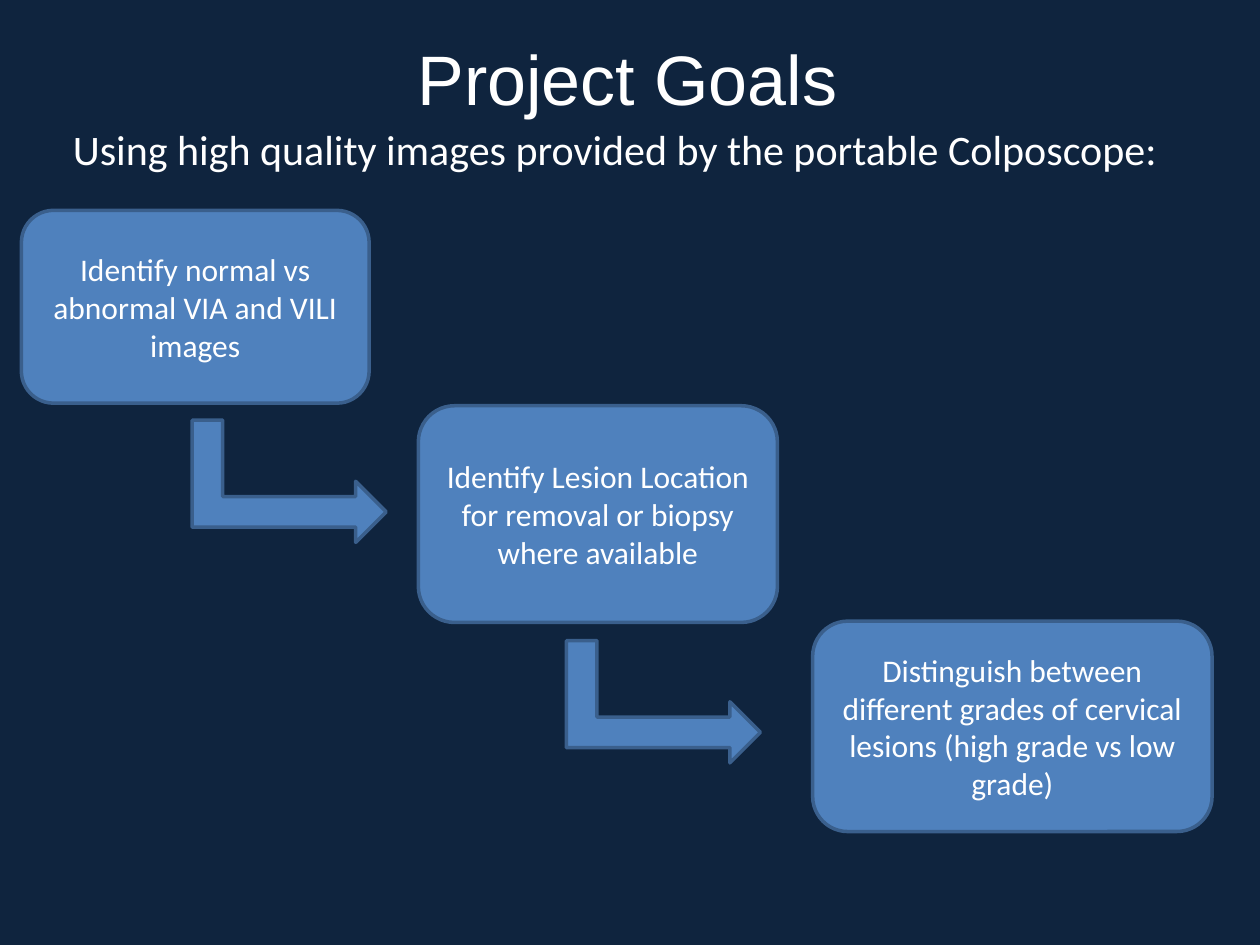
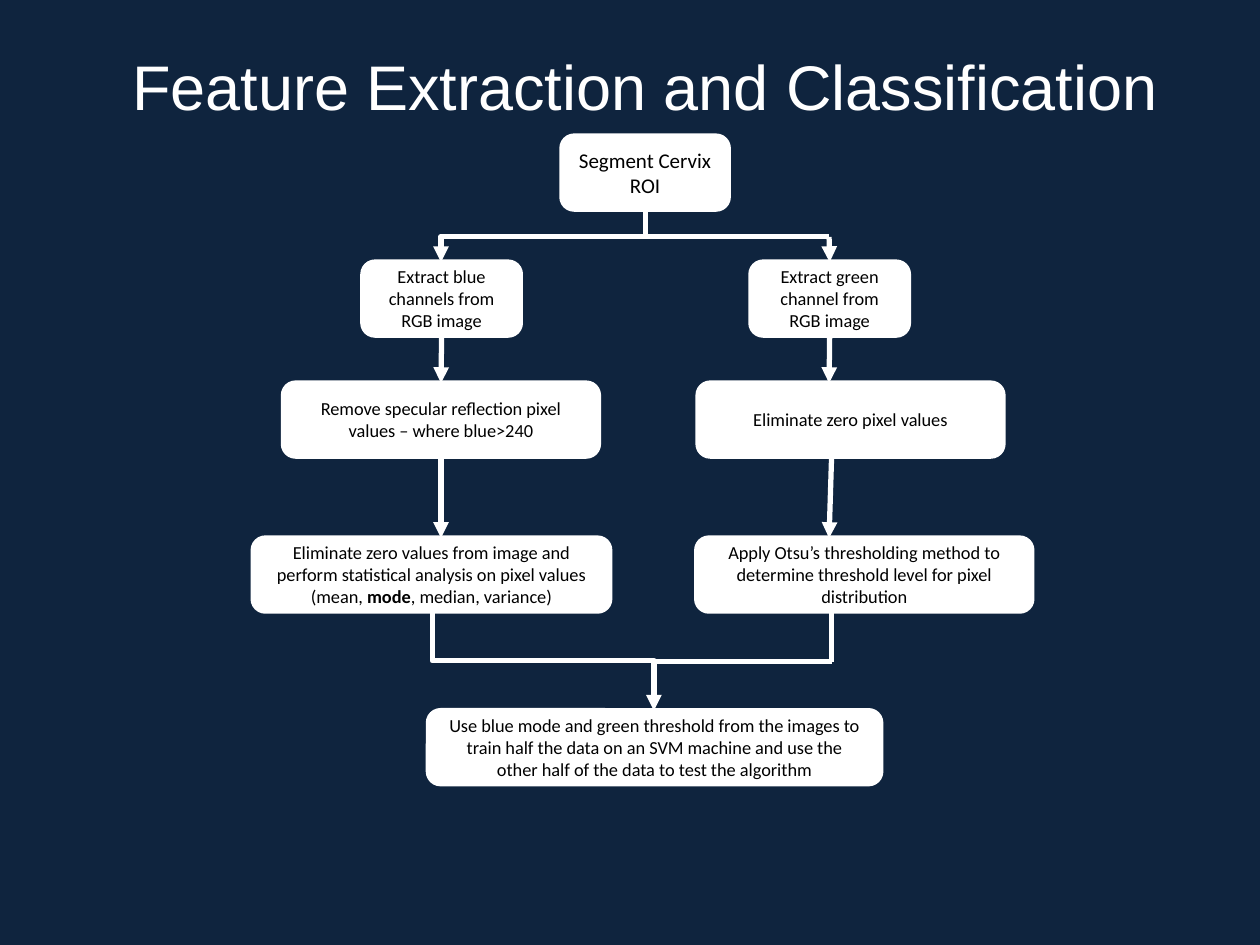
from dataclasses import dataclass

from pptx import Presentation
from pptx.dml.color import RGBColor
from pptx.enum.shapes import MSO_CONNECTOR as Link, MSO_SHAPE as Shape
from pptx.enum.text import MSO_ANCHOR as Anchor, PP_ALIGN as Align
from pptx.oxml.ns import qn
from pptx.util import Inches, Pt
from lxml.etree import SubElement


@dataclass(frozen=True)
class Theme:
    navy: str = "0F243E"
    blue: str = "4F81BD"
    blue_edge: str = "3A5F8C"
    white: str = "FFFFFF"
    black: str = "000000"
    title_font: str = "Arial"
    body_font: str = "Calibri"
    lead_size: float = 24
    goal_size: float = 18
    root_size: float = 12
    step_size: float = 10.5
    goal_line: float = 2
    flow_line: float = 3


THEME = Theme()


def color(code):
    return RGBColor.from_string(code)


# Text
def write(shape, text, size, ink=THEME.white, font=THEME.body_font,
          align=Align.CENTER, anchor=Anchor.MIDDLE):
    """Fill a shape with one paragraph; words between asterisks are bold."""
    frame = shape.text_frame
    frame.word_wrap = True
    frame.vertical_anchor = anchor
    para = frame.paragraphs[0]
    para.alignment = align
    for index, part in enumerate(text.split("*")):
        span = para.add_run()
        span.text = part
        span.font.size = Pt(size)
        span.font.name = font
        span.font.bold = index % 2 == 1
        span.font.color.rgb = color(ink)


def add_text(page, place, text, size, **style):
    box = page.shapes.add_textbox(*map(Inches, place))
    write(box, text, size, **style)


def add_page(deck, title, place, size):
    page = deck.slides.add_slide(deck.slide_layouts[6])
    page.background.fill.solid()
    page.background.fill.fore_color.rgb = color(THEME.navy)
    add_text(page, place, title, size, font=THEME.title_font)
    return page


# Shapes
def add_block(page, kind, place, fill, edge, weight):
    block = page.shapes.add_shape(kind, *map(Inches, place))
    block.shadow.inherit = False
    block.fill.solid()
    block.fill.fore_color.rgb = color(fill)
    block.line.color.rgb = color(edge)
    block.line.width = Pt(weight)
    return block


def add_goal_block(page, kind, place):
    return add_block(page, kind, place, THEME.blue, THEME.blue_edge, THEME.goal_line)


def add_step(page, left, top, width, text, size=THEME.step_size):
    box = add_block(page, Shape.ROUNDED_RECTANGLE, (left, top, width, 0.58),
                    THEME.white, THEME.white, THEME.flow_line)
    write(box, text, size, ink=THEME.black)
    return box


# Connectors
def style_link(link, arrow):
    link.line.color.rgb = color(THEME.white)
    link.line.width = Pt(THEME.flow_line)
    if arrow:
        SubElement(link.line._get_or_add_ln(), qn("a:tailEnd"), type="triangle")
    SubElement(link._element.spPr, qn("a:effectLst"))


def add_line(page, start, end, arrow=True, above=None, below=None):
    """Straight line, joined to the bottom of `above` and the top of `below`."""
    link = page.shapes.add_connector(Link.STRAIGHT, *map(Inches, start + end))
    if above:
        link.begin_connect(above, 2)
    if below:
        link.end_connect(below, 0)
    style_link(link, arrow)


def add_elbow(page, start, end):
    """Elbow that leaves and arrives vertically: a level elbow, turned."""
    (x1, y1), (x2, y2) = start, end
    middle_x, middle_y = (x1 + x2) / 2, (y1 + y2) / 2
    half_run, half_drop = abs(x2 - x1) / 2, (y2 - y1) / 2
    rightward = x2 > x1
    side = -half_drop if rightward else half_drop
    ends = (middle_x - side, middle_y - half_run, middle_x + side, middle_y + half_run)
    link = page.shapes.add_connector(Link.ELBOW, *map(Inches, ends))
    degrees = 270 if rightward else 90
    link._element.spPr.find(qn("a:xfrm")).set("rot", str(degrees * 60000))
    style_link(link, arrow=True)


# Slides
def build_goals(deck):
    page = add_page(deck, "Project Goals", (0.48, 0.1, 9, 1.03), 40)
    goals = [
        ((0.17, 1.67, 2.76, 1.53), "Identify normal vs abnormal VIA and VILI images"),
        ((3.32, 3.22, 2.85, 1.72),
         "Identify Lesion Location for removal or biopsy where available"),
        ((6.45, 4.93, 3.17, 1.67),
         "Distinguish between different grades of cervical lesions "
         "(high grade vs low grade)"),
    ]
    for place, text in goals:
        box = add_goal_block(page, Shape.ROUNDED_RECTANGLE, place)
        write(box, text, THEME.goal_size)
    for left, top in [(1.81, 3.05), (4.78, 4.8)]:
        arrow = add_goal_block(page, Shape.BENT_UP_ARROW, (left, top, 0.97, 1.54))
        arrow.rotation = 90
    add_text(page, (0.48, 0.93, 9.32, 0.5),
             "Using high quality images provided by the portable Colposcope:",
             THEME.lead_size, align=Align.LEFT, anchor=Anchor.TOP)


def build_flow(deck):
    page = add_page(deck, "Feature Extraction and Classification",
                    (0.62, 0.05, 9, 1.25), 36)
    root_top, extract_top, clean_top, analyse_top, train_top = 1.08, 2.08, 3.04, 4.27, 5.64
    extract_end, clean_end, analyse_end = 2.67, 3.62, 4.85

    # Steps
    add_step(page, 4.46, root_top, 1.32, "Segment Cervix ROI", THEME.root_size)
    blue = add_step(page, 2.88, extract_top, 1.25, "Extract blue channels from RGB image")
    green = add_step(page, 5.96, extract_top, 1.25, "Extract green channel from RGB image")
    add_step(page, 5.54, clean_top, 2.42, "Eliminate zero pixel values")
    add_step(page, 5.53, analyse_top, 2.66,
             "Apply Otsu’s thresholding method to determine threshold level "
             "for pixel distribution")
    specular = add_step(page, 2.25, clean_top, 2.5,
                        "Remove specular reflection pixel values – where blue>240")
    add_step(page, 2.01, analyse_top, 2.83,
             "Eliminate zero values from image and perform statistical analysis "
             "on pixel values (mean, *mode*, median, variance)")
    add_step(page, 3.4, train_top, 3.59,
             "Use blue mode and green threshold from the images to train half the data "
             "on an SVM machine and use the other half of the data to test the algorithm")

    # Split into two channels
    root_x, blue_x, green_x, split_y = 5.12, 3.5, 6.58, 1.88
    add_elbow(page, (root_x, 1.67), (blue_x, extract_top))
    add_line(page, (root_x, split_y), (green_x, split_y), arrow=False)
    add_line(page, (green_x, split_y), (green_x, extract_top), below=green)

    # Down each channel
    add_line(page, (blue_x, extract_end), (blue_x, clean_top), above=blue, below=specular)
    add_line(page, (green_x, extract_end), (green_x, clean_top), above=green)
    add_line(page, (blue_x, clean_end), (blue_x, analyse_top), above=specular)
    add_line(page, (6.6, clean_end), (green_x, analyse_top))

    # Merge into training
    train_x, merge_x, merge_y = 5.19, 6.6, 5.25
    add_elbow(page, (3.43, analyse_end), (train_x, train_top))
    add_line(page, (merge_x, analyse_end), (merge_x, merge_y), arrow=False)
    add_line(page, (train_x, merge_y), (merge_x, merge_y), arrow=False)


def main():
    deck = Presentation()
    deck.slide_width, deck.slide_height = Inches(10), Inches(7.5)
    build_goals(deck)
    build_flow(deck)
    deck.save("out.pptx")


if __name__ == "__main__":
    main()
